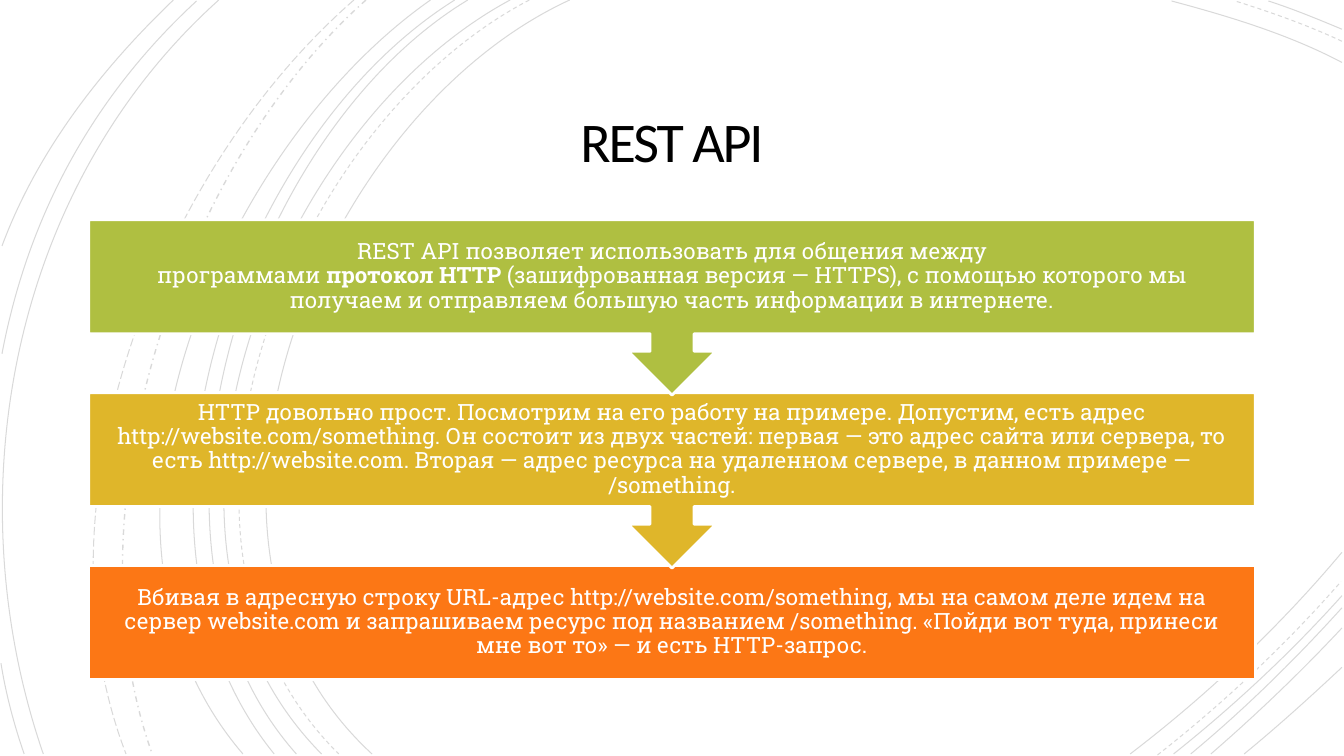
from dataclasses import dataclass

from lxml import etree
from pptx import Presentation
from pptx import util as u
from pptx.dml.color import RGBColor
from pptx.enum import dml, shapes, text
from pptx.oxml.ns import qn


@dataclass(frozen=True)
class Theme:
    title_font: str = "Calibri"
    body_font: str = "Roboto Slab"
    title_size: float = 40
    body_size: float = 16
    ink: str = "000000"
    paper: str = "FFFFFF"
    green: str = "AFBF41"
    gold: str = "DFB62A"
    orange: str = "FC7715"
    arc_opacity: int = 15


THEME = Theme()
NBSP = chr(160)
SOLID, DASH = dml.MSO_LINE.SOLID, dml.MSO_LINE.DASH
LONG_DASH, DASH_DOT = dml.MSO_LINE.LONG_DASH, dml.MSO_LINE.DASH_DOT

ARCS = [
    ([(5.65, 0), (3.15, 1.15), (1.43, 5.4), (3.69, 7.48)], SOLID),
    ([(13.31, 0.62), (12.78, 0.34), (12.18, 0.16), (11.62, 0.01)], SOLID),
    ([(11.21, 7.48), (11.97, 6.9), (12.69, 6.22), (13.31, 5.48)], SOLID),
    ([(5.25, 0), (2.85, 1.25), (1.23, 5.37), (3.36, 7.48)], DASH),
    ([(13.31, 0.41), (12.97, 0.25), (12.6, 0.12), (12.25, 0.01)], DASH),
    ([(11.48, 7.49), (12.13, 6.98), (12.75, 6.4), (13.3, 5.77)], DASH),
    ([(5.06, 0), (2.7, 1.27), (1.1, 5.37), (3.19, 7.48)], SOLID),
    ([(13.31, 0.29), (13.07, 0.19), (12.83, 0.09), (12.58, 0.01)], SOLID),
    ([(11.64, 7.48), (12.23, 7.01), (12.8, 6.48), (13.31, 5.91)], SOLID),
    ([(4.64, 0), (2.44, 1.33), (1.1, 5.41), (2.94, 7.48)], SOLID),
    ([(11.81, 7.48), (12.34, 7.04), (12.84, 6.55), (13.31, 6.03)], SOLID),
    ([(4.51, 0), (2.31, 1.38), (0.97, 5.33), (2.72, 7.48)], SOLID),
    ([(12.01, 7.48), (12.46, 7.09), (12.9, 6.67), (13.31, 6.23)], SOLID),
    ([(4.27, 0), (2.17, 1.47), (0.53, 5.29), (2.41, 7.48)], SOLID),
    ([(12.34, 7.48), (12.67, 7.21), (12.99, 6.92), (13.31, 6.62)], SOLID),
    ([(3.63, 0), (1.76, 1.66), (0.65, 5.09), (1.51, 7.48)], DASH_DOT),
    ([(3.51, 0), (1.57, 1.69), (0.29, 4.99), (1.25, 7.48)], LONG_DASH),
    ([(2.17, 0), (0.11, 1.85), (-0.46, 4.9), (0.43, 7.48)], SOLID),
    ([(1.95, 0.01), (0.92, 0.96), (0.28, 2.14), (0.02, 3.51)], SOLID),
    ([(0.01, 6.58), (0.06, 6.89), (0.14, 7.19), (0.24, 7.48)], SOLID),
    ([(1.72, 0), (1, 0.69), (0.37, 1.5), (0.02, 2.44)], SOLID),
]

STEPS = [
    (THEME.green, [
        ("REST API позволяет использовать для общения между программами" + NBSP, False),
        ("протокол" + NBSP + "HTTP", True),
        (NBSP + "(зашифрованная версия — HTTPS), с помощью которого мы получаем и "
         "отправляем большую часть информации в интернете.", False)]),
    (THEME.gold, [
        ("HTTP довольно прост. Посмотрим на его работу на примере. Допустим, есть "
         "адрес http://website.com/something. Он состоит из двух частей: первая — "
         "это адрес сайта или сервера, то есть http://website.com. Вторая — адрес "
         "ресурса на удаленном сервере, в данном примере — /something.", False)]),
    (THEME.orange, [
        ("Вбивая в адресную строку URL-адрес http://website.com/something, мы на "
         "самом деле идем на сервер website.com и запрашиваем ресурс под названием "
         "/something. «Пойди вот туда, принеси мне вот то» — и есть HTTP-запрос.",
         False)]),
]
STEP_LEFT, STEP_WIDTH = 0.88, 11.57
FIRST_TOP, LAST_TOP = 2.18, 5.61
BOX_HEIGHT, CALLOUT_HEIGHT = 1.13, 1.74


class SlideBuilder:
    """Draws the elements of one slide in a shared theme."""

    def __init__(self, page, theme):
        self.page = page
        self.theme = theme

    def format_frame(self, frame, inset, spacing):
        frame.word_wrap = True
        frame.auto_size = text.MSO_AUTO_SIZE.NONE
        frame.vertical_anchor = text.MSO_ANCHOR.MIDDLE
        frame.margin_left = frame.margin_right = u.Inches(inset)
        frame.margin_top = frame.margin_bottom = u.Inches(inset)
        para = frame.paragraphs[0]
        para.alignment = text.PP_ALIGN.CENTER
        para.line_spacing = spacing
        return para

    def format_span(self, span, font, size, color, bold=False):
        span.font.name = font
        span.font.size = u.Pt(size)
        span.font.bold = bold
        span.font.color.rgb = RGBColor.from_string(color)

    def title(self, wording, left, top, width, height):
        box = self.page.shapes.title
        box.left, box.top = u.Inches(left), u.Inches(top)
        box.width, box.height = u.Inches(width), u.Inches(height)
        box.text_frame.text = wording
        para = self.format_frame(box.text_frame, 0.25, 0.85)
        span = para.runs[0]
        self.format_span(span, self.theme.title_font, self.theme.title_size, self.theme.ink)
        span._r.get_or_add_rPr().set("spc", "-150")

    def arc(self, controls, dash):
        start, *rest = [(u.Inches(x), u.Inches(y)) for x, y in controls]
        builder = self.page.shapes.build_freeform(*start)
        builder.add_line_segments(rest, close=False)
        curve = builder.convert_to_shape()
        segments = list(curve._element.iter(qn("a:lnTo")))
        bezier = etree.SubElement(segments[0].getparent(), qn("a:cubicBezTo"))
        for segment in segments:
            bezier.append(segment[0])
            segment.getparent().remove(segment)
        curve.shadow.inherit = False
        curve.fill.background()
        curve.line.color.rgb = RGBColor.from_string(self.theme.ink)
        curve.line.width = u.Pt(1 if dash == DASH_DOT else 0.75)
        curve.line.dash_style = dash
        color = curve.line._ln.find(".//" + qn("a:srgbClr"))
        etree.SubElement(color, qn("a:alpha"), val=str(self.theme.arc_opacity * 1000))

    def panel(self, kind, fill, left, top, width, height, outline=None, rotation=0):
        box = self.page.shapes.add_shape(
            kind, u.Inches(left), u.Inches(top), u.Inches(width), u.Inches(height))
        box.rotation = rotation
        box.shadow.inherit = False
        box.fill.solid()
        box.fill.fore_color.rgb = RGBColor.from_string(fill)
        if outline:
            box.line.color.rgb = RGBColor.from_string(outline)
            box.line.width = u.Pt(2)
        else:
            box.line.fill.background()

    def caption(self, spans, left, top, width, height):
        box = self.page.shapes.add_textbox(
            u.Inches(left), u.Inches(top), u.Inches(width), u.Inches(height))
        para = self.format_frame(box.text_frame, 0.12, 0.9)
        for wording, bold in spans:
            span = para.add_run()
            span.text = wording
            self.format_span(span, self.theme.body_font, self.theme.body_size,
                             self.theme.paper, bold)


def main():
    deck = Presentation()
    deck.slide_width, deck.slide_height = u.Inches(13.33), u.Inches(7.5)
    page = deck.slides.add_slide(deck.slide_layouts[5])
    builder = SlideBuilder(page, THEME)

    builder.panel(shapes.MSO_SHAPE.RECTANGLE, THEME.paper, 0, 0, 13.33, 7.5)
    for controls, dash in ARCS:
        builder.arc(controls, dash)
    builder.title("REST API", 1.92, 0.87, 9.49, 1.15)
    page.shapes._spTree.append(page.shapes.title._element)

    last = len(STEPS) - 1
    pitch = (LAST_TOP - FIRST_TOP) / last
    for index, (fill, spans) in reversed(list(enumerate(STEPS))):
        top = FIRST_TOP + index * pitch
        if index == last:
            kind, height, rotation = shapes.MSO_SHAPE.RECTANGLE, BOX_HEIGHT, 0
        else:
            kind, height, rotation = shapes.MSO_SHAPE.UP_ARROW_CALLOUT, CALLOUT_HEIGHT, 180
        builder.panel(kind, fill, STEP_LEFT, top, STEP_WIDTH, height, THEME.paper, rotation)
        builder.caption(spans, STEP_LEFT, top, STEP_WIDTH, BOX_HEIGHT)

    deck.save("out.pptx")


if __name__ == "__main__":
    main()
